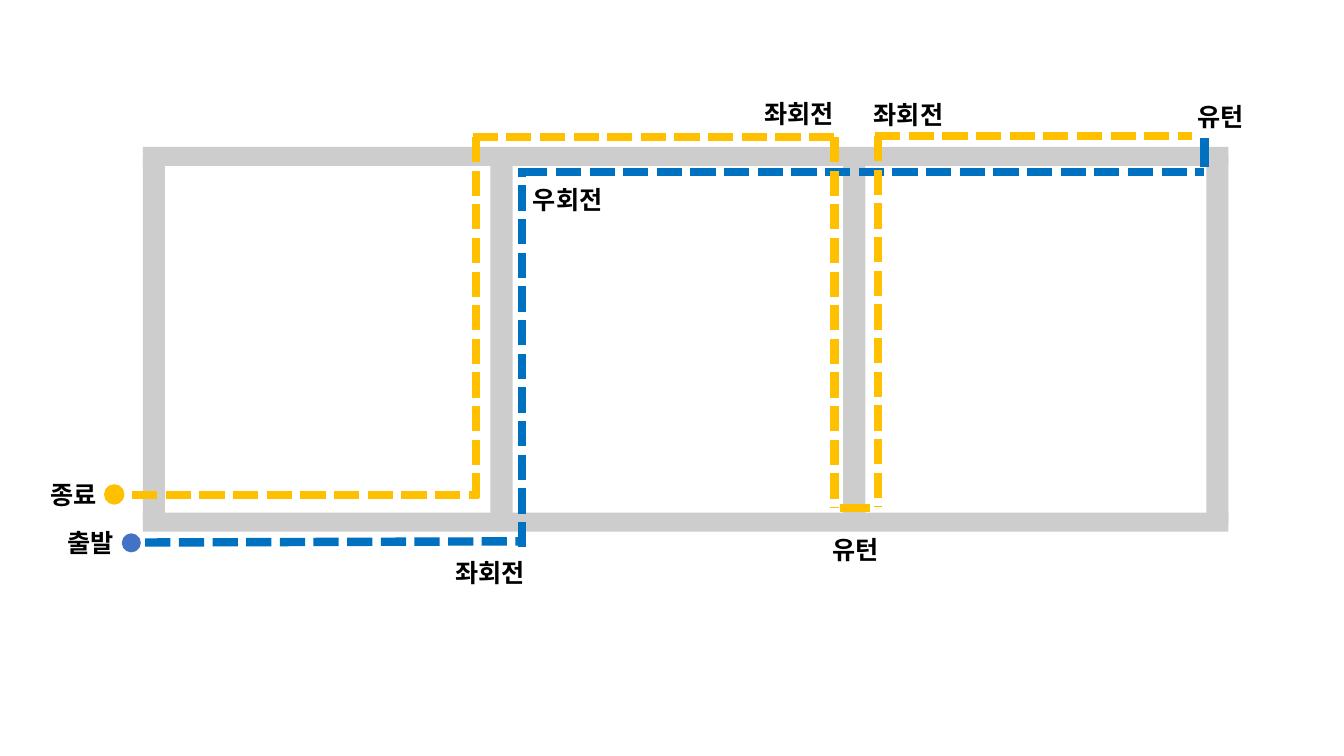
from lxml import etree
from pptx import Presentation
from pptx.dml.color import RGBColor
from pptx.enum.dml import MSO_LINE
from pptx.enum.shapes import MSO_CONNECTOR, MSO_SHAPE
from pptx.enum.text import MSO_AUTO_SIZE
from pptx.oxml.ns import qn
from pptx.util import Cm, Pt

RECTANGLE, OVAL = MSO_SHAPE.RECTANGLE, MSO_SHAPE.OVAL
STRAIGHT = MSO_CONNECTOR.STRAIGHT
DASHED, SOLID = MSO_LINE.SQUARE_DOT, MSO_LINE.SOLID
FIT_TEXT = MSO_AUTO_SIZE.SHAPE_TO_FIT_TEXT

FONT = "Noto Sans CJK KR"
GRAY, BLACK = "CDCDCD", "000000"
OUTBOUND, RETURN, START = "0070C0", "FFC000", "4472C4"

# Left, top, width and height of the road map in centimetres.
# Every position below is measured from its top left corner.
MAP_BOX = (3.6, 3.7, 27.36, 9.7)
ROAD_HEIGHT, ROAD_WIDTH = 0.48, 0.56
DOT_SIZE = 0.48

INNER_ROADS = (8.76, 17.65)
OUTBOUND_LEGS = [
    (0.06, 9.97, 9.58, 9.94, DASHED),
    (9.56, 10.09, 9.56, 0.54, DASHED),
    (9.56, 0.64, 26.75, 0.64, DASHED),
    (26.75, -0.22, 26.75, 0.52, SOLID),
]
RETURN_LEGS = [
    (18.45, -0.27, 26.45, -0.27, DASHED),
    (18.52, -0.27, 18.52, 9.08, DASHED),
    (17.58, 9.1, 18.32, 9.1, SOLID),
    (17.43, -0.25, 17.43, 9.1, DASHED),
    (8.31, -0.25, 17.61, -0.25, DASHED),
    (8.39, -0.25, 8.39, 8.85, DASHED),
    (-0.27, 8.77, 8.47, 8.77, DASHED),
]
DOTS = [(-0.53, 9.74, START), (-0.96, 8.52, RETURN)]
LABELS = [
    ("출발", -2.15, 9.46, 1.8),
    ("좌회전", 7.63, 10.22, 2.49),
    ("우회전", 9.58, 0.82, 2.49),
    ("유턴", 26.32, -1.26, 2.49),
    ("좌회전", 18.17, -1.31, 2.49),
    ("유턴", 17.13, 9.64, 2.49),
    ("좌회전", 15.42, -1.34, 2.49),
    ("종료", -2.58, 8.26, 1.8),
]


def color(hex_string):
    return RGBColor.from_string(hex_string)


def add_filled_shape(slide, kind, left, top, width, height, fill):
    shape = slide.shapes.add_shape(kind, Cm(left), Cm(top), Cm(width), Cm(height))
    shape.shadow.inherit = False
    shape.fill.solid()
    shape.fill.fore_color.rgb = color(fill)
    shape.line.fill.background()
    return shape


def add_text(slide, text, left, top, width, height=1.02, size=18, bold=True, fill=BLACK):
    box = slide.shapes.add_textbox(Cm(left), Cm(top), Cm(width), Cm(height))
    frame = box.text_frame
    frame.word_wrap = True
    frame.auto_size = FIT_TEXT
    run = frame.paragraphs[0].add_run()
    run.text = text
    font = run.font
    font.name, font.size, font.bold = FONT, Pt(size), bold
    font.color.rgb = color(fill)
    east_asian = etree.SubElement(run._r.get_or_add_rPr(), qn("a:ea"))
    east_asian.set("typeface", FONT)


def add_leg(slide, start_x, start_y, end_x, end_y, fill, dash):
    connector = slide.shapes.add_connector(
        STRAIGHT, Cm(start_x), Cm(start_y), Cm(end_x), Cm(end_y))
    connector.line.color.rgb = color(fill)
    connector.line.width = Pt(6)
    connector.line.dash_style = dash
    etree.SubElement(connector._element.spPr, qn("a:effectLst"))


def draw_roads(slide, box):
    left, top, width, height = box
    span = height - ROAD_HEIGHT
    for offset in (0, span):
        add_filled_shape(slide, RECTANGLE, left, top + offset, width, ROAD_HEIGHT, GRAY)
    for offset in (0, *INNER_ROADS, width - ROAD_WIDTH):
        add_filled_shape(slide, RECTANGLE, left + offset, top + ROAD_HEIGHT / 2,
                         ROAD_WIDTH, span, GRAY)


def draw_route(slide, box, legs, fill):
    left, top = box[:2]
    for start_x, start_y, end_x, end_y, dash in legs:
        add_leg(slide, left + start_x, top + start_y, left + end_x, top + end_y, fill, dash)


def draw_dots(slide, box):
    left, top = box[:2]
    for x, y, fill in DOTS:
        dot = add_filled_shape(slide, OVAL, left + x, top + y, DOT_SIZE, DOT_SIZE, fill)
        if fill == RETURN:
            dot.line.color.rgb = color(fill)
            dot.line.width = Pt(1)


def draw_labels(slide, box):
    left, top = box[:2]
    for text, x, y, width in LABELS:
        add_text(slide, text, left + x, top + y, width)


def main():
    presentation = Presentation()
    presentation.slide_width, presentation.slide_height = Cm(33.87), Cm(19.05)
    slide = presentation.slides.add_slide(presentation.slide_layouts[6])
    draw_roads(slide, MAP_BOX)
    draw_dots(slide, MAP_BOX)
    draw_labels(slide, MAP_BOX)
    draw_route(slide, MAP_BOX, OUTBOUND_LEGS, OUTBOUND)
    draw_route(slide, MAP_BOX, RETURN_LEGS, RETURN)
    presentation.save("out.pptx")


if __name__ == "__main__":
    main()
